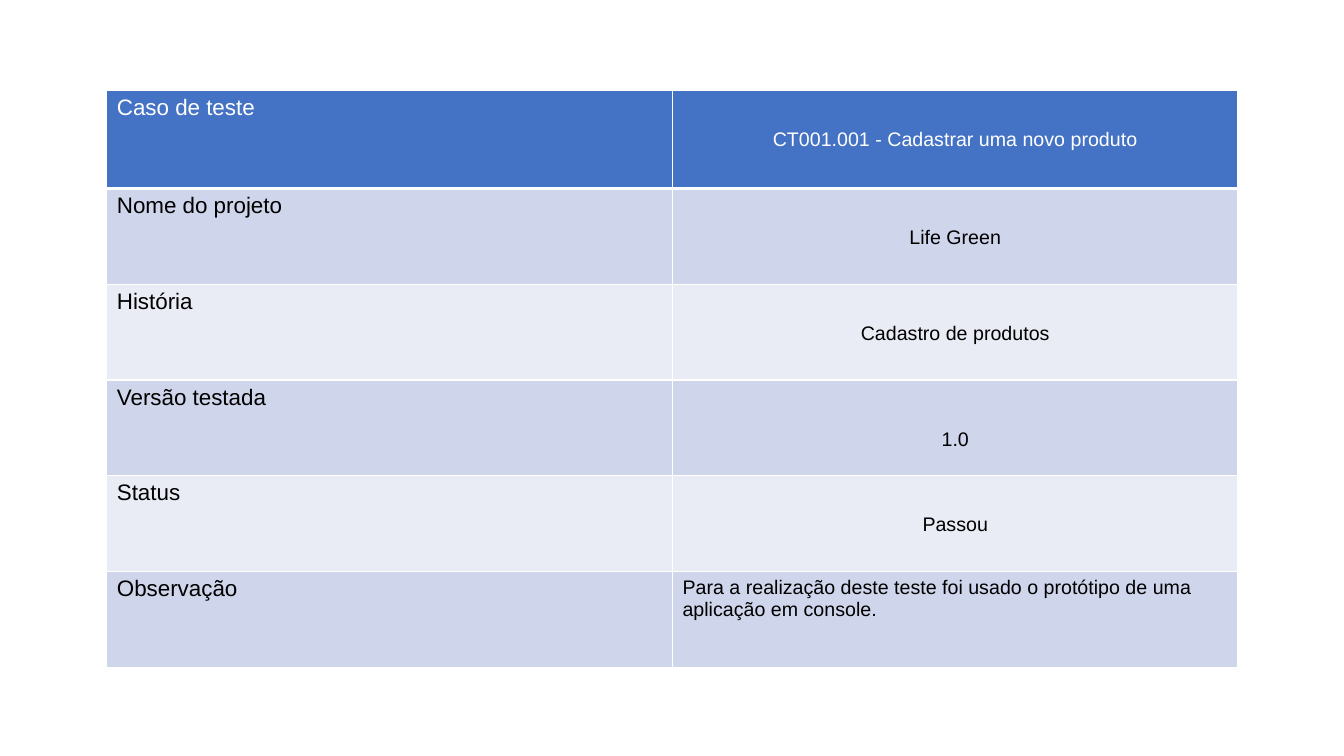
from dataclasses import dataclass

from lxml.etree import SubElement
from pptx import Presentation
from pptx.dml.color import RGBColor
from pptx.enum.text import PP_ALIGN
from pptx.oxml.ns import qn
from pptx.util import Inches, Pt


@dataclass(frozen=True)
class Theme:
    """Colours, font and type sizes of the slide."""

    font: str = "Arial"
    label_size: int = 16
    value_size: int = 14
    header_fill: str = "4472C4"
    bands: tuple = ("CFD5EA", "E9EBF5")
    header_text: str = "FFFFFF"
    body_text: str = "000000"
    border: str = "FFFFFF"


THEME = Theme()
HEADER_HEIGHT = 0.97
TEST_CASE = [
    ("Caso de teste", "CT001.001 - Cadastrar uma novo produto", 2.5),
    ("Nome do projeto", "Life Green", 2.5),
    ("História", "Cadastro de produtos", 2.5),
    ("Versão testada", "1.0", 3.0),
    ("Status", "Passou", 2.5),
    ("Observação", "Para a realização deste teste foi usado o protótipo "
     "de uma aplicação em console.", None),
]


def set_borders(cell, bottom_width):
    """Draw the cell's four borders, with its own width at the bottom."""
    properties = cell._tc.get_or_add_tcPr()
    for position, side in enumerate(("lnL", "lnR", "lnT", "lnB")):
        width = bottom_width if side == "lnB" else 1
        line = SubElement(properties, qn(f"a:{side}"), w=str(Pt(width)))
        fill = SubElement(line, qn("a:solidFill"))
        SubElement(fill, qn("a:srgbClr"), val=THEME.border)
        properties.insert(position, line)


def fill_cell(cell, text, size, text_color, fill_color, spacing=None):
    """Write and colour one cell; text with line spacing is centred."""
    cell.fill.solid()
    cell.fill.fore_color.rgb = RGBColor.from_string(fill_color)
    cell.text_frame.text = text
    para = cell.text_frame.paragraphs[0]
    if spacing:
        para.alignment = PP_ALIGN.CENTER
        para.line_spacing = spacing
    font = para.runs[0].font
    font.name = THEME.font
    font.size = Pt(size)
    font.bold = False
    font.color.rgb = RGBColor.from_string(text_color)


def add_test_case(page, left, top, width, height):
    """Place the test case table in the given box, in inches."""
    table = page.shapes.add_table(
        len(TEST_CASE), 2, Inches(left), Inches(top),
        Inches(width), Inches(height)).table
    row_height = (height - HEADER_HEIGHT) / (len(TEST_CASE) - 1)
    for index, (label, value, spacing) in enumerate(TEST_CASE):
        is_header = index == 0
        table.rows[index].height = Inches(
            HEADER_HEIGHT if is_header else row_height)
        fill = THEME.header_fill if is_header else THEME.bands[(index - 1) % 2]
        color = THEME.header_text if is_header else THEME.body_text
        label_cell, value_cell = table.rows[index].cells
        fill_cell(label_cell, label, THEME.label_size, color, fill)
        fill_cell(value_cell, value, THEME.value_size, color, fill, spacing)
        for cell in (label_cell, value_cell):
            set_borders(cell, 3 if is_header else 1)


def main():
    """Build and save the deck."""
    deck = Presentation()
    deck.slide_width = Inches(13.33)
    deck.slide_height = Inches(7.5)
    page = deck.slides.add_slide(deck.slide_layouts[6])
    add_test_case(page, 1.06, 0.9, 11.22, 5.72)
    deck.save("out.pptx")


if __name__ == "__main__":
    main()
